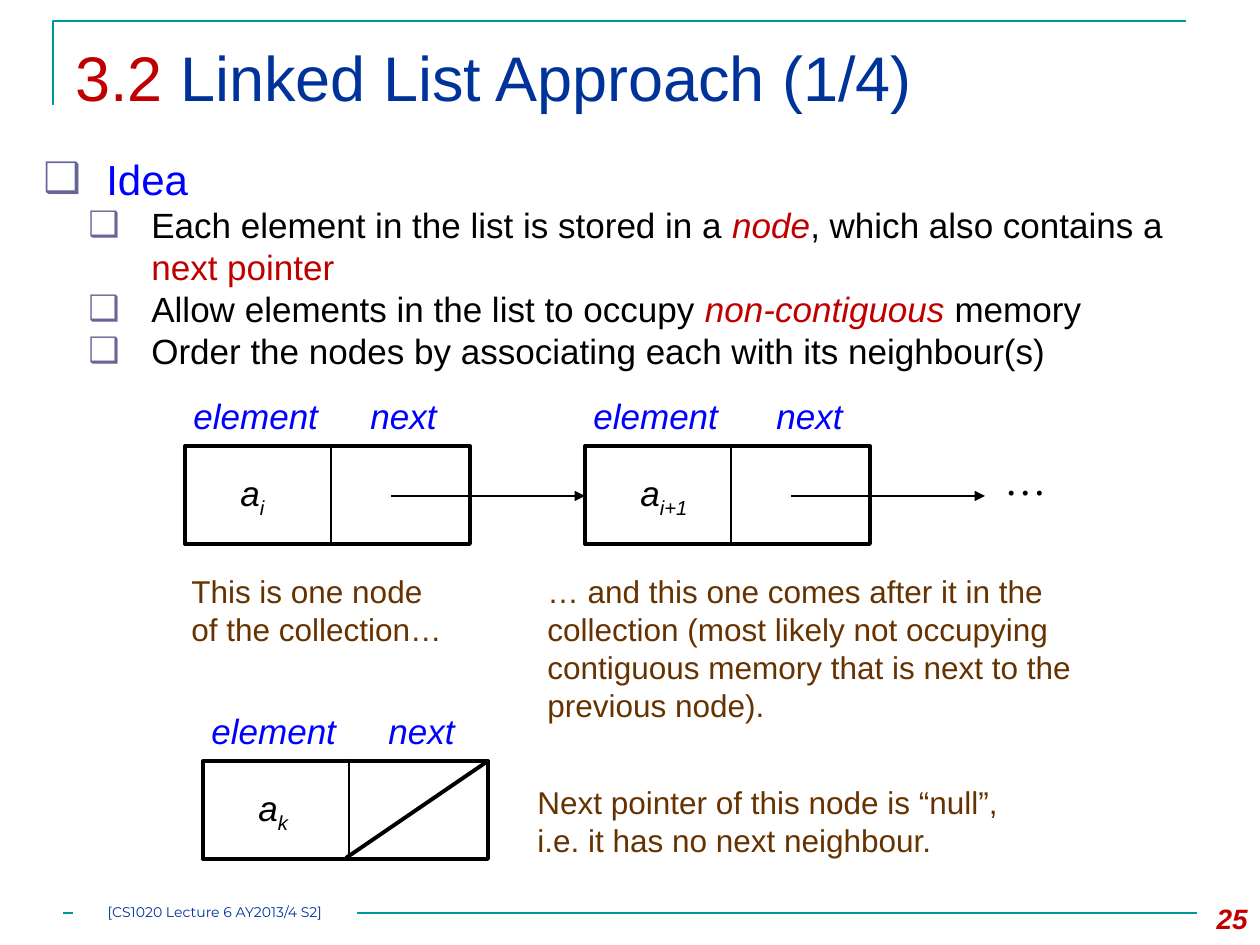
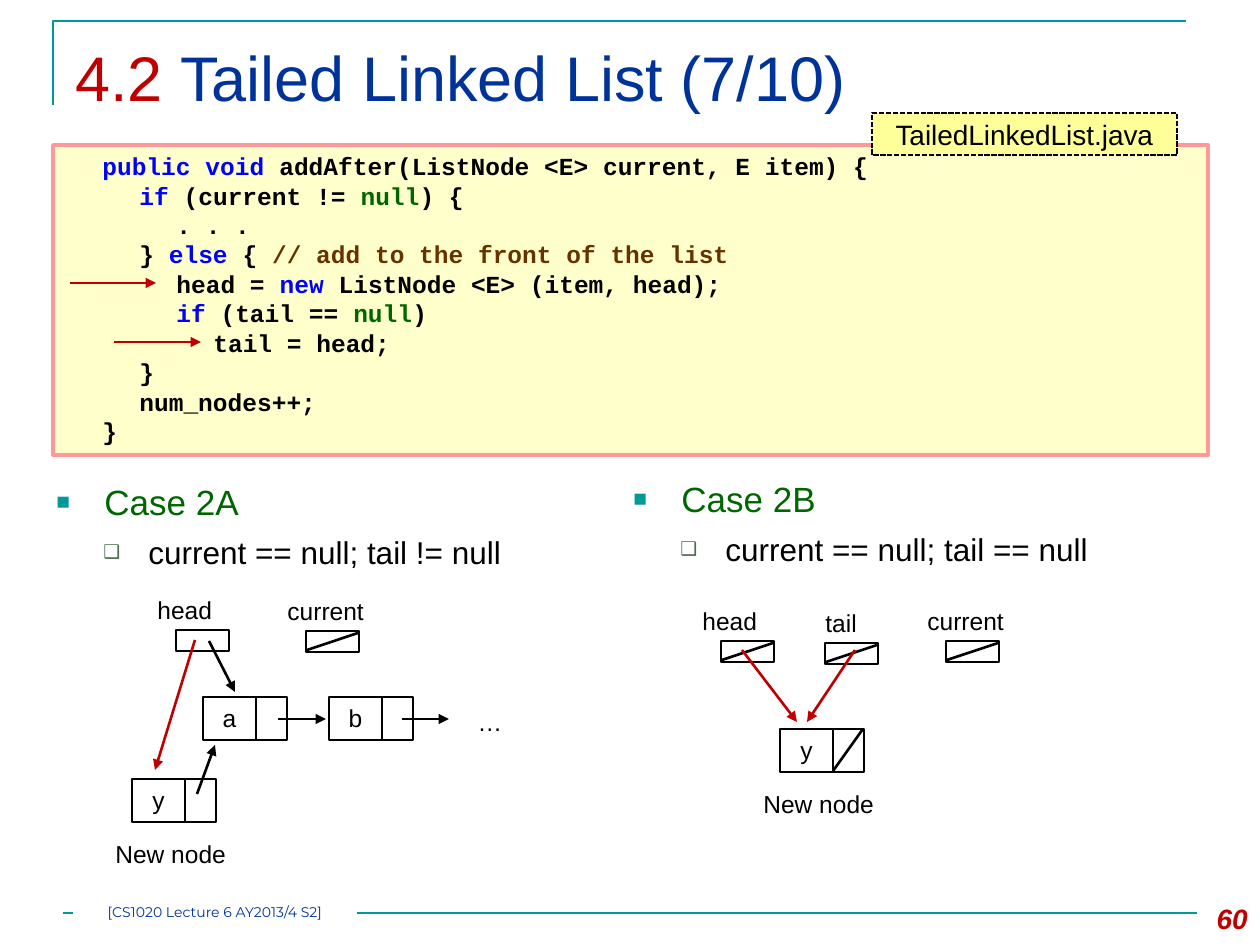
from lxml import etree
from pptx import Presentation
from pptx.dml.color import RGBColor
from pptx.enum.dml import MSO_LINE
from pptx.enum.shapes import MSO_CONNECTOR, MSO_SHAPE
from pptx.enum.text import MSO_ANCHOR, PP_ALIGN
from pptx.oxml.ns import qn
from pptx.util import Emu, Pt

RECT, STRAIGHT = MSO_SHAPE.RECTANGLE, MSO_CONNECTOR.STRAIGHT
LEFT, CENTER, RIGHT = PP_ALIGN.LEFT, PP_ALIGN.CENTER, PP_ALIGN.RIGHT
TOP, MIDDLE = MSO_ANCHOR.TOP, MSO_ANCHOR.MIDDLE
SCALE = 914400 / 126          # EMU per pixel
LEADING = 1.2                 # line pitch relative to text size

# Colours
BLACK, WHITE, RED, NAVY, BLUE = "000000", "FFFFFF", "C00000", "003399", "0000FF"
TEAL, GREEN, BROWN = "009999", "006600", "663300"
CODE_FILL, CODE_LINE, FILE_FILL = "FFFFCC", "FF9999", "FFFF99"
IDEA_BULLET, CASE_BULLET = "666699", "4C6D4E"

# Run styles
PLAIN = {}
KEY, NULL, NOTE = {"color": BLUE}, {"color": GREEN}, {"color": BROWN}
HOT = {"color": RED}
TERM = {"color": RED, "italic": True}
SUB = {"base": -25000}

# Content of slide 1
FOOTER = "[CS1020 Lecture 6 AY2013/4 S2]"
IDEAS = [
    [("Each element in the list is stored in a ", PLAIN), ("node", TERM),
     (", which also contains a ", PLAIN), ("next pointer", HOT)],
    [("Allow elements in the list to occupy ", PLAIN), ("non-contiguous", TERM),
     (" memory", PLAIN)],
    [("Order the nodes by associating each with its neighbour(s)", PLAIN)],
]
# x, y, subscript, value width, offset of "next", has a follower
LIST_NODES = [
    (185, 446, "i", 49, 173, True),
    (585, 446, "i+1", 76, 179, True),
    (203, 761, "k", 57, 173, False),
]
# box, lines, wrap
CALLOUTS = [
    ((179, 566, 278, 89), ["This is one node", "of the collection…"], False),
    ((535, 566, 651, 165),
     ["… and this one comes after it in the collection (most likely not occupying "
      "contiguous memory that is next to the previous node)."], True),
    ((525, 777, 494, 89),
     ["Next pointer of this node is “null”, i.e. it has no next neighbour."], True),
]

# Content of slide 2: indent level and runs of each code line
CODE = [
    (1, [("public void ", KEY), ("addAfter(ListNode <E> current, E item) {", PLAIN)]),
    (2, [("if ", KEY), ("(current != ", PLAIN), ("null", NULL), (") {", PLAIN)]),
    (3, [(". . .", PLAIN)]),
    (2, [("} ", PLAIN), ("else", KEY), (" { ", PLAIN),
         ("// add to the front of the list", NOTE)]),
    (3, [("head = ", PLAIN), ("new ", KEY), ("ListNode <E> (item, head);", PLAIN)]),
    (3, [("if", KEY), (" (tail == ", PLAIN), ("null", NULL), (")", PLAIN)]),
    (4, [("tail = head;", PLAIN)]),
    (2, [("}", PLAIN)]),
    (2, [("num_nodes++;", PLAIN)]),
    (1, [("}", PLAIN)]),
]
CASES = [
    (44, 474, "Case 2A", "current == null; tail != null"),
    (621, 471, "Case 2B", "current == null; tail == null"),
]
# name, x, y, label offset, is null
POINTERS = [
    ("head", 176, 630, -31, False),
    ("current", 306, 631, -31, True),
    ("head", 721, 641, -31, True),
    ("tail", 825, 643, -12, True),
    ("current", 946, 641, -31, True),
]
# value, x, y, is new, is null
NODES = [
    ("a", 203, 697, False, False),
    ("b", 329, 697, False, False),
    ("y", 132, 779, True, False),
    ("y", 780, 729, True, True),
]
# from x, y, to x, y, colour
ARROWS = [
    (70, 283, 156, 283, RED), (114, 342, 201, 342, RED),       # code markers
    (278, 719, 326, 719, BLACK), (402, 719, 449, 719, BLACK),  # next links
    (209, 641, 235, 692, BLACK), (197, 794, 215, 745, BLACK),
    (195, 640, 155, 770, RED),                                 # new links
    (742, 650, 797, 722, RED), (855, 650, 807, 722, RED),
]


def px(n):
    return Emu(round(n * SCALE))


def rgb(hex_string):
    return RGBColor.from_string(hex_string)


def child(parent, tag, **attrs):
    return etree.SubElement(parent, qn(tag), attrs)


def set_text(sp, paras, size, color=BLACK, font="Arial", align=LEFT, anchor=TOP,
             wrap=True, inset=None, **style):
    """Each paragraph is a string, a run list, or a dict with runs and overrides."""
    tf = sp.text_frame
    tf.word_wrap, tf.vertical_anchor = wrap, anchor
    if inset is not None:
        for side in ("left", "top", "right", "bottom"):
            setattr(tf, "margin_" + side, px(inset))
    for i, para in enumerate(paras):
        spec = para if isinstance(para, dict) else {"runs": para}
        runs = spec["runs"]
        if isinstance(runs, str):
            runs = [(runs, PLAIN)]
        p = tf.paragraphs[0] if i == 0 else tf.add_paragraph()
        pts = spec.get("size", size)
        p.alignment, p.line_spacing = align, Pt(round(pts * LEADING, 1))
        if "before" in spec:
            p.space_before = Pt(spec["before"])
        if "bullet" in spec:
            add_bullet(p, *spec["bullet"])
        if "tabs" in spec:
            tabs = child(p._p.get_or_add_pPr(), "a:tabLst")
            for pos in spec["tabs"]:
                child(tabs, "a:tab", pos=str(px(pos)), algn="l")
        for text, run_style in runs:
            r = p.add_run()
            r.text = text
            fmt = {"color": spec.get("color", color), **style, **run_style}
            r.font.color.rgb = rgb(fmt.pop("color"))
            base = fmt.pop("base", None)
            if base:
                r._r.get_or_add_rPr().set("baseline", str(base))
            for name, value in {"name": font, "size": Pt(pts), **fmt}.items():
                setattr(r.font, name, value)


def add_bullet(p, char, color, left, hang, percent):
    pPr = p._p.get_or_add_pPr()
    pPr.set("marL", str(px(left)))
    pPr.set("indent", str(-px(hang)))
    child(child(pPr, "a:buClr"), "a:srgbClr", val=color)
    child(pPr, "a:buSzPct", val=str(percent * 1000))
    child(pPr, "a:buFont", typeface="Arial")
    child(pPr, "a:buChar", char=char)


def text(s, box, paras, size, **fmt):
    set_text(s.shapes.add_textbox(*map(px, box)), paras, size, **fmt)


def rect(s, box, fill=None, line=None, width=1.5, dash=None, alpha=None):
    sp = s.shapes.add_shape(RECT, *map(px, box))
    sp.shadow.inherit = False
    if fill:
        sp.fill.solid()
        sp.fill.fore_color.rgb = rgb(fill)
        if alpha:
            clr = sp._element.spPr.find(".//" + qn("a:srgbClr"))
            child(clr, "a:alpha", val=str(alpha * 1000))
    else:
        sp.fill.background()
    if line:
        sp.line.color.rgb, sp.line.width = rgb(line), Pt(width)
        if dash:
            sp.line.dash_style = dash
    else:
        sp.line.fill.background()
    return sp


def line(s, x1, y1, x2, y2, color=BLACK, width=1.5, arrow=False):
    c = s.shapes.add_connector(STRAIGHT, *map(px, (x1, y1, x2, y2)))
    c.line.color.rgb, c.line.width = rgb(color), Pt(width)
    if arrow:
        child(c.line._get_or_add_ln(), "a:tailEnd", type="triangle")
    child(c._element.spPr, "a:effectLst")


def new_slide(number, title, page):
    """Blank slide with the shared frame, title, footer and page number."""
    s = prs.slides.add_slide(prs.slide_layouts[6])
    builder = s.shapes.build_freeform(53, 105, scale=SCALE)
    builder.add_line_segments([(53, 21), (1186, 21)], close=False)
    frame = builder.convert_to_shape()
    frame.shadow.inherit = False
    frame.fill.background()
    frame.line.color.rgb, frame.line.width = rgb(TEAL), Pt(1.5)
    line(s, 63, 913, 1197, 913, TEAL)
    text(s, (63, 32, 1134, 108), [[(number + " ", HOT), (title, PLAIN)]], 36, color=NAVY)
    text(s, (1176, 895, 84, 50), [page], 16, color=RED, align=RIGHT, bold=True, italic=True)
    set_text(rect(s, (73, 903, 284, 21), WHITE), [FOOTER], 8, color=NAVY,
             font="Montserrat", align=CENTER, inset=0)
    return s


def list_node(s, x, y, subscript, value_w, next_dx, linked):
    w, h, split = 285, 98, 146
    for label, dx, label_w in (("element", -4, 150), ("next", next_dx, 92)):
        text(s, (x + dx, y - 58, label_w, 54), [label], 20, color=BLUE, wrap=False,
             italic=True)
    text(s, (x + 43, y + 25, value_w, 54), [[("a", PLAIN), (subscript, SUB)]], 20,
         wrap=False, italic=True)
    rect(s, (x, y, w, h), line=BLACK, width=2.25)
    line(s, x + split, y - 2, x + split, y + h - 1)
    if linked:
        line(s, x + 206, y + 50, x + 400, y + 50, arrow=True)
    else:
        line(s, x + w, y, x + split - 3, y + h - 1, width=2.25)


def pointer(s, name, x, y, label_dx, is_null):
    text(s, (x + label_dx, y - 41, 108, 43), [name], 14)
    rect(s, (x, y, 53, 21), WHITE, BLACK)
    if is_null:
        line(s, x + 1, y + 19, x + 52, y + 2)


def node(s, value, x, y, is_new, is_null):
    set_text(rect(s, (x, y, 53, 43), line=BLACK), [value], 14, align=CENTER)
    rect(s, (x + 53, y, 31, 43), line=BLACK)
    if is_null:
        line(s, x + 53, y + 42, x + 83, y)
    if is_new:
        text(s, (x - 29, y + 54, 140, 43), ["New node"], 14)


prs = Presentation()
prs.slide_width, prs.slide_height = px(1260), px(945)

# Slide 1: idea, linked nodes and their explanations
s = new_slide("3.2", "Linked List Approach (1/4)", "25")
paras = [{"runs": "Idea", "size": 24, "color": BLUE,
          "bullet": ("❑", IDEA_BULLET, 63, 63, 100)}]
paras += [{"runs": runs, "bullet": ("❑", IDEA_BULLET, 108, 63, 100)} for runs in IDEAS]
text(s, (31, 147, 1207, 252), paras, 20)
for args in LIST_NODES:
    list_node(s, *args)
text(s, (992, 447, 67, 63), ["…"], 24, font="Times New Roman", wrap=False)
for box, lines, wrap in CALLOUTS:
    set_text(rect(s, box, WHITE, alpha=80), lines, 18, color=BROWN, wrap=wrap)

# Slide 2: code, two cases and their diagrams
s = new_slide("4.2", "Tailed Linked List (7/10)", "60")
tabs = [37 * n for n in range(1, 5)]
paras = [{"runs": [("\t" * level, PLAIN)] + runs, "tabs": tabs} for level, runs in CODE]
set_text(rect(s, (53, 145, 1155, 310), CODE_FILL, CODE_LINE, 2), paras, 14,
         font="Courier New", bold=True)
set_text(rect(s, (872, 113, 305, 42), FILE_FILL, BLACK, 1, MSO_LINE.SQUARE_DOT),
         ["TailedLinkedList.java"], 16, align=CENTER, anchor=MIDDLE)
for x, y, name, condition in CASES:
    text(s, (x, y, 554, 130), [
        {"runs": name, "size": 20, "color": GREEN, "before": 6,
         "bullet": ("■", TEAL, 48, 48, 65)},
        {"runs": condition, "before": 6, "bullet": ("❑", CASE_BULLET, 92, 45, 60)},
    ], 18)
for args in POINTERS:
    pointer(s, *args)
for args in NODES:
    node(s, *args)
text(s, (460, 701, 60, 43), ["…"], 14, align=CENTER)
for arrow in ARROWS:
    line(s, *arrow, arrow=True)

prs.save("out.pptx")
